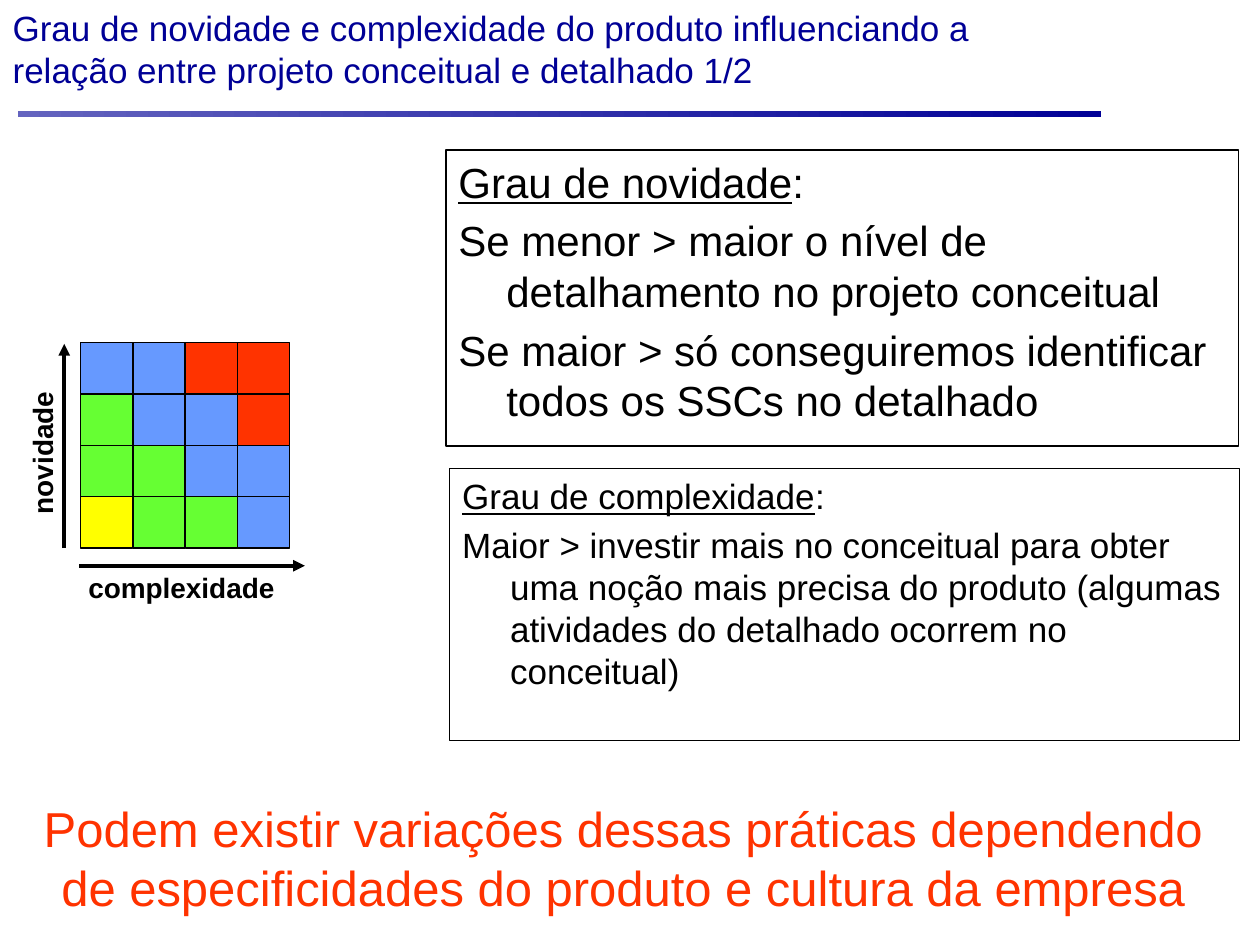
from collections import namedtuple

from lxml import etree
from pptx import Presentation
from pptx import util as u
from pptx.dml.color import RGBColor
from pptx.enum import shapes, text
from pptx.oxml import ns

# Lengths are columns and rows of a 100 x 75 grid
WIDTH, HEIGHT = u.Inches(10), u.Inches(7.5)
COLUMN, ROW = WIDTH / 100, HEIGHT / 75

COLORS = {
    "navy": "000096", "lilac": "6464BF", "black": "000000", "white": "FFFFFF",
    "blue": "6699FF", "red": "FF3300", "green": "66FF33", "yellow": "FFFF00",
}
# Novelty falls from row to row, complexity grows from column to column
MATRIX = [
    ["blue", "blue", "red", "red"],
    ["green", "blue", "blue", "red"],
    ["green", "green", "blue", "blue"],
    ["yellow", "green", "green", "blue"],
]

Box = namedtuple("Box", "left top width height")


def color(name):
    return RGBColor.from_string(COLORS[name])


def place(box):
    return (round(box.left * COLUMN), round(box.top * ROW),
            round(box.width * COLUMN), round(box.height * ROW))


def apply(target, formats):
    for name, value in formats.items():
        setattr(target, name, value)


def add_rectangle(parent, box, fill=None, line=None):
    shape = parent.add_shape(shapes.MSO_SHAPE.RECTANGLE, *place(box))
    shape.shadow.inherit = False
    if fill:
        shape.fill.solid()
        shape.fill.fore_color.rgb = color(fill)
    else:
        shape.fill.background()
    if line:
        shape.line.color.rgb = color(line)
        shape.line.width = u.Pt(0.75)
    else:
        shape.line.fill.background()
    return shape


def add_arrow(parent, start, end):
    ends = [round(value * unit) for point in (start, end)
            for value, unit in zip(point, (COLUMN, ROW))]
    arrow = parent.add_connector(shapes.MSO_CONNECTOR.STRAIGHT, *ends)
    arrow.line.color.rgb = color("black")
    arrow.line.width = u.Pt(2.25)
    etree.SubElement(arrow.line._get_or_add_ln(), ns.qn("a:tailEnd"), type="triangle")
    etree.SubElement(arrow._element.spPr, ns.qn("a:effectLst"))


def write(paragraph, words, size, ink, align=text.PP_ALIGN.LEFT, **formats):
    paragraph.alignment = align
    run = paragraph.add_run()
    run.text = words
    apply(run.font, {"name": "Arial", "size": u.Pt(size), **formats})
    run.font.color.rgb = color(ink)


def add_title(slide, box, words):
    title = slide.shapes.title
    apply(title, dict(zip(("left", "top", "width", "height"), place(box))))
    apply(title.text_frame, {
        "word_wrap": True,
        "auto_size": text.MSO_AUTO_SIZE.NONE,
        "vertical_anchor": text.MSO_ANCHOR.MIDDLE,
    })
    write(title.text_frame.paragraphs[0], words, 20, "navy")


def add_title_rule(slide, box):
    rule = add_rectangle(slide.shapes, box)
    rule.fill.gradient()
    rule.fill.gradient_angle = 0
    for stop, name in zip(rule.fill.gradient_stops, ("lilac", "navy")):
        stop.color.rgb = color(name)


def add_axis_label(parent, box, words, rotation=0):
    label = add_rectangle(parent, box, fill="white")
    label.rotation = rotation
    apply(label.text_frame, {
        "word_wrap": False,
        "margin_left": u.Inches(0.08), "margin_right": u.Inches(0.08),
        "margin_top": 0, "margin_bottom": 0,
        "vertical_anchor": text.MSO_ANCHOR.TOP,
    })
    write(label.text_frame.paragraphs[0], words, 16, "black",
          text.PP_ALIGN.CENTER, bold=True)


def add_matrix(slide, box):
    parent = slide.shapes.add_group_shape().shapes
    # Coloured cells
    width, height = box.width / len(MATRIX[0]), box.height / len(MATRIX)
    for i, names in enumerate(MATRIX):
        for j, name in enumerate(names):
            cell = Box(box.left + j * width, box.top + i * height, width, height)
            add_rectangle(parent, cell, fill=name, line="black")
    # Axes and their labels
    bottom = box.top + box.height
    axis_x, axis_y = box.left - 1.3, bottom + 1.4
    add_arrow(parent, (axis_x, bottom), (axis_x, box.top + 0.1))
    add_arrow(parent, (box.left - 0.1, axis_y), (box.left + box.width + 1.2, axis_y))
    add_axis_label(parent, Box(box.left - 8.7, box.top + 7.4, 11.3, 2.7),
                   "novidade", rotation=270)
    add_axis_label(parent, Box(box.left - 0.2, bottom + 1.8, 16.4, 2.7), "complexidade")


def add_explanation(slide, box, heading, lines, size):
    panel = add_rectangle(slide.shapes, box, line="black")
    frame = panel.text_frame
    apply(frame, {"word_wrap": True, "vertical_anchor": text.MSO_ANCHOR.TOP})
    paragraphs = [frame.paragraphs[0]] + [frame.add_paragraph() for _ in lines]
    write(paragraphs[0], heading, size, "black", underline=True)
    write(paragraphs[0], ":", size, "black")
    for paragraph, words in zip(paragraphs[1:], lines):
        write(paragraph, words, size, "black")
        paragraph.space_before = u.Pt(size * 0.2)
    for paragraph in paragraphs:
        properties = paragraph._p.get_or_add_pPr()
        properties.set("marL", str(u.Inches(0.38)))
        properties.set("indent", str(-u.Inches(0.38)))


def add_conclusion(slide, box, words):
    frame = slide.shapes.add_textbox(*place(box)).text_frame
    frame.word_wrap = True
    write(frame.paragraphs[0], words, 28, "red", text.PP_ALIGN.CENTER)


def main():
    presentation = Presentation()
    apply(presentation, {"slide_width": WIDTH, "slide_height": HEIGHT})
    slide = presentation.slides.add_slide(presentation.slide_layouts[5])

    add_title_rule(slide, Box(1.4, 8.8, 86, 0.5))
    add_title(slide, Box(0, 0, 80.8, 7.7),
              "Grau de novidade e complexidade do produto influenciando a "
              "relação entre projeto conceitual e detalhado 1/2")
    add_explanation(slide, Box(35.4, 11.9, 62.9, 23.5), "Grau de novidade", [
        "Se menor > maior o nível de detalhamento no projeto conceitual",
        "Se maior > só conseguiremos identificar todos os SSCs no detalhado",
    ], size=24)
    add_matrix(slide, Box(6.4, 27.2, 16.6, 16.3))
    add_explanation(slide, Box(35.7, 37.2, 62.7, 21.6), "Grau de complexidade", [
        "Maior > investir mais no conceitual para obter uma noção mais precisa "
        "do produto (algumas atividades do detalhado ocorrem no conceitual)",
    ], size=20)
    add_conclusion(slide, Box(2.3, 62.9, 94.3, 10.3),
                   "Podem existir variações dessas práticas dependendo de "
                   "especificidades do produto e cultura da empresa")
    presentation.save("out.pptx")


if __name__ == "__main__":
    main()
